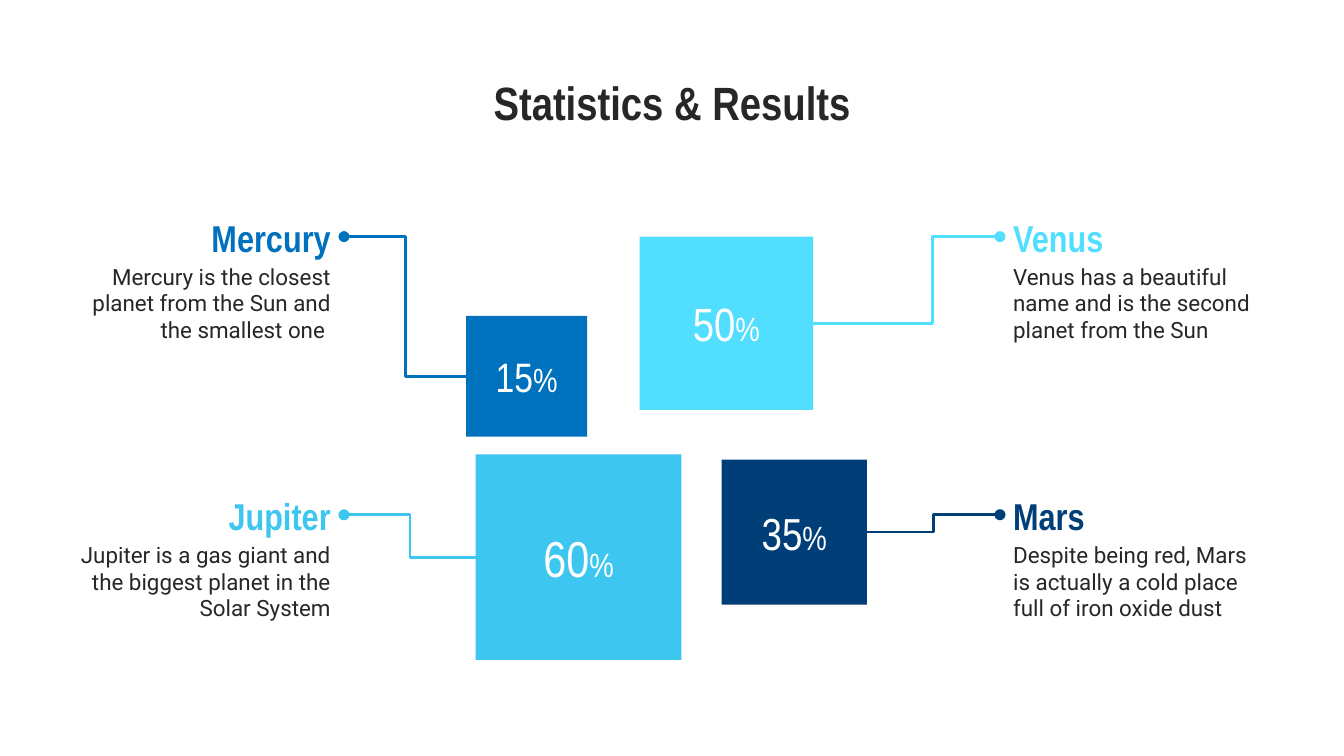
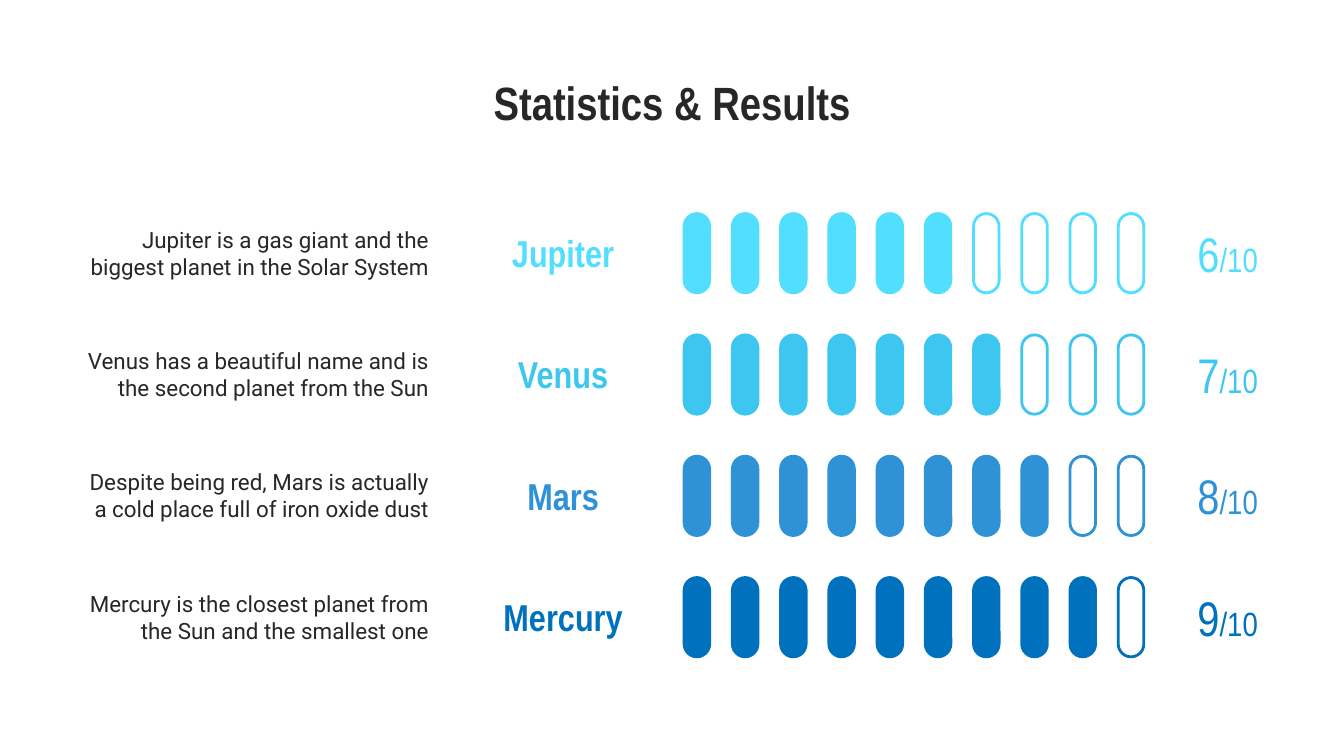
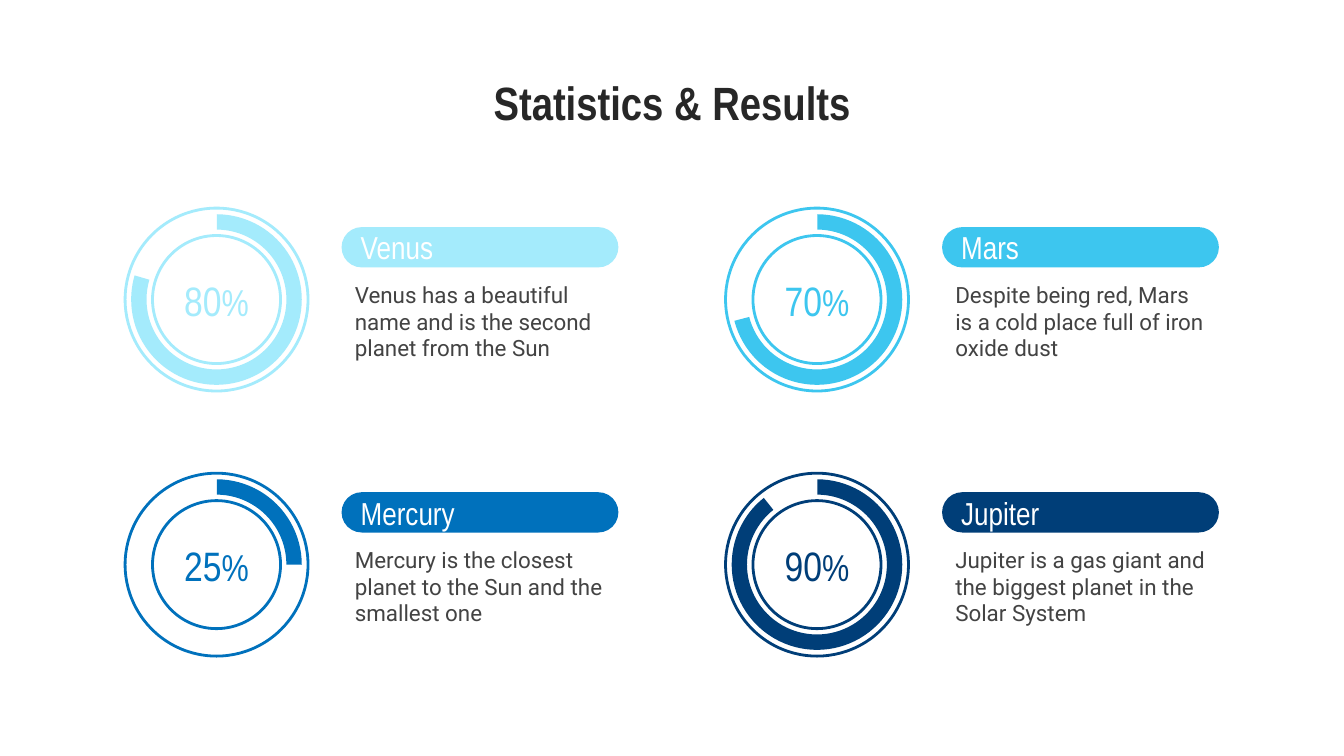
"""Build three slides of planet statistics: squares, pill bars and progress rings."""
import pptx
import pptx.util
import pptx.dml.color
import pptx.enum.shapes
import pptx.enum.text
import pptx.oxml
import pptx.oxml.ns

Pt = pptx.util.Pt
RGBColor = pptx.dml.color.RGBColor
MSO_SHAPE = pptx.enum.shapes.MSO_SHAPE
ALIGN = pptx.enum.text.PP_ALIGN
ANCHOR = pptx.enum.text.MSO_ANCHOR
qn = pptx.oxml.ns.qn

INK = RGBColor(0x27, 0x27, 0x27)
GRAY = RGBColor(0x43, 0x43, 0x43)
WHITE = RGBColor(0xFF, 0xFF, 0xFF)
PALE = RGBColor(0xA4, 0xEB, 0xFC)
CYAN = RGBColor(0x52, 0xDE, 0xFF)
SKY = RGBColor(0x3D, 0xC6, 0xEF)
AZURE = RGBColor(0x2F, 0x91, 0xD6)
BLUE = RGBColor(0x00, 0x71, 0xBC)
NAVY = RGBColor(0x00, 0x3E, 0x78)
HEAD_FONT = "Arial Narrow"
BODY_FONT = "Roboto"


def add_text(s, box, *runs, sp=None, font=HEAD_FONT, color=INK, bold=False,
             align=ALIGN.LEFT, anchor=ANCHOR.MIDDLE):
    """Write (text, size) runs into sp, or into a new text box at box."""
    sp = sp or s.shapes.add_textbox(*map(Pt, box))
    tf = sp.text_frame
    tf.word_wrap = True
    tf.vertical_anchor = anchor
    tf.margin_left = tf.margin_right = tf.margin_top = tf.margin_bottom = Pt(7.2)
    p = tf.paragraphs[0]
    p.alignment = align
    for text, size in runs:
        r = p.add_run()
        r.text = text
        r.font.name = font
        r.font.size = Pt(size)
        r.font.bold = bold
        r.font.color.rgb = color


def add_shape(s, kind, box, fill=None, line=None, adj=()):
    """Add a preset shape without shadow; a missing fill or line stays empty."""
    sp = s.shapes.add_shape(kind, *map(Pt, box))
    sp.shadow.inherit = False
    for i, value in enumerate(adj):
        sp.adjustments[i] = value
    if fill is None:
        sp.fill.background()
    else:
        sp.fill.solid()
        sp.fill.fore_color.rgb = fill
    if line is None:
        sp.line.fill.background()
    else:
        sp.line.color.rgb = line
        sp.line.width = Pt(1.5)
    return sp


prs = pptx.Presentation()
prs.slide_width, prs.slide_height = Pt(720), Pt(405)
slides = [prs.slides.add_slide(prs.slide_layouts[6]) for _ in range(3)]
for s in slides:
    add_text(s, (36, 32.4, 648, 38.9), ("Statistics & Results", 25), bold=True,
             align=ALIGN.CENTER, anchor=ANCHOR.TOP)

s = slides[0]
squares = [
    ("Mars", "Despite being red, Mars is actually a cold place full of iron oxide dust",
     NAVY, "35", 24, 386.6, 246.2, 77.8, True, 257, 0.5),
    ("Jupiter", "Jupiter is a gas giant and the biggest planet in the Solar System",
     SKY, "60", 27, 254.9, 243.4, 110.2, False, 257, 0.5),
    ("Venus", "Venus has a beautiful name and is the second planet from the Sun",
     CYAN, "50", 25, 342.7, 126.7, 92.9, True, 108, 0.64),
    ("Mercury", "Mercury is the closest planet from the Sun and the smallest one ",
     BLUE, "15", 22, 249.8, 169.2, 64.8, False, 108, 0.5),
]
for name, body, color, share, size, x, y, side, on_right, top, bend in squares:
    add_shape(s, MSO_SHAPE.RECTANGLE, (x, y, side, side), fill=color)
    mid_x, mid_y = x + side / 2, y + side / 2
    add_text(s, (mid_x - 36, mid_y - 15.5, 72, 31), (share, size), ("%", 18),
             color=WHITE, align=ALIGN.CENTER)

    left = 535.7 if on_right else 36
    align = ALIGN.LEFT if on_right else ALIGN.RIGHT
    add_text(s, (left, top, 148.3, 37.4), (name, 20), color=color, bold=True,
             align=align, anchor=ANCHOR.TOP)
    add_text(s, (left, top + 25.5, 148.3, 56.9), (body, 12), font=BODY_FONT,
             align=align, anchor=ANCHOR.TOP)

    start_x = x + side if on_right else x
    end_x = left if on_right else left + 148.3
    cxn = s.shapes.add_connector(pptx.enum.shapes.MSO_CONNECTOR.ELBOW, Pt(start_x),
                                 Pt(mid_y), Pt(end_x), Pt(top + 18.8))
    cxn.line.color.rgb = color
    cxn.line.width = Pt(1.5)
    ln = cxn.line._get_or_add_ln()
    ln.append(pptx.oxml.parse_xml(
        '<a:tailEnd xmlns:a="http://schemas.openxmlformats.org/drawingml/2006/main" type="oval"/>'))
    sp_pr = cxn._element.spPr
    sp_pr.append(sp_pr.makeelement(qn("a:effectLst"), {}))
    guides = sp_pr.find(qn("a:prstGeom")).find(qn("a:avLst"))
    guides.append(guides.makeelement(
        qn("a:gd"), {"name": "adj1", "fmla": f"val {round(bend * 100000)}"}))

s = slides[1]
scores = [
    ("Jupiter", "Jupiter is a gas giant and the biggest planet in the Solar System", CYAN, 6),
    ("Venus", "Venus has a beautiful name and is the second planet from the Sun", SKY, 7),
    ("Mars", "Despite being red, Mars is actually a cold place full of iron oxide dust", AZURE, 8),
    ("Mercury", "Mercury is the closest planet from the Sun and the smallest one", BLUE, 9),
]
for row, (name, body, color, score) in enumerate(scores):
    top = 114.4 + 65 * row
    for i in range(10):
        add_shape(s, MSO_SHAPE.ROUNDED_RECTANGLE, (366.5 + 25.84 * i, top, 13.7, 42.5),
                  fill=color if i < score else WHITE, line=color, adj=(0.5,))
    add_text(s, (631.4, top + 4.2, 52.6, 33.8), (str(score), 26), ("/10", 18),
             color=color, align=ALIGN.CENTER)
    add_text(s, (247.7, top + 1.5, 108, 38.9), (name, 20), color=color, bold=True,
             align=ALIGN.CENTER)
    add_text(s, (36, top - 7.1, 200.9, 56.2), (body, 12), font=BODY_FONT,
             align=ALIGN.RIGHT)

s = slides[2]
rings = [
    ("Venus", "Venus has a beautiful name and is the second planet from the Sun",
     PALE, "80", 117.85),
    ("Mars", "Despite being red, Mars is a cold place full of iron oxide dust",
     SKY, "70", 99.33),
    ("Mercury", "Mercury is the closest planet to the Sun and the smallest one",
     BLUE, "25", 215.99),
    ("Jupiter", "Jupiter is a gas giant and the biggest planet in the Solar System",
     NAVY, "90", 138.86),
]
for i, (name, body, color, share, arc_end) in enumerate(rings):
    x, y = 67 + 321.7 * (i % 2), 111.5 + 142 * (i // 2)
    add_shape(s, MSO_SHAPE.DONUT, (x, y, 98, 98), line=color, adj=(0.15,))
    add_shape(s, MSO_SHAPE.BLOCK_ARC, (x + 3.3, y + 3.3, 91.4, 91.4), fill=color,
              adj=(162.2, arc_end, 0.09))
    add_text(s, (x + 14.4, y + 36.8, 69.2, 24.4), (share, 22), ("%", 20),
             color=color, align=ALIGN.CENTER)
    pill = add_shape(s, MSO_SHAPE.ROUNDED_RECTANGLE, (x + 116, y + 10.2, 148.3, 21.6),
                     fill=color, adj=(0.5,))
    add_text(s, None, (name, 17), sp=pill, color=WHITE)
    add_text(s, (x + 116, y + 33.2, 148.3, 54.7), (body, 12), font=BODY_FONT, color=GRAY)

prs.save("out.pptx")
